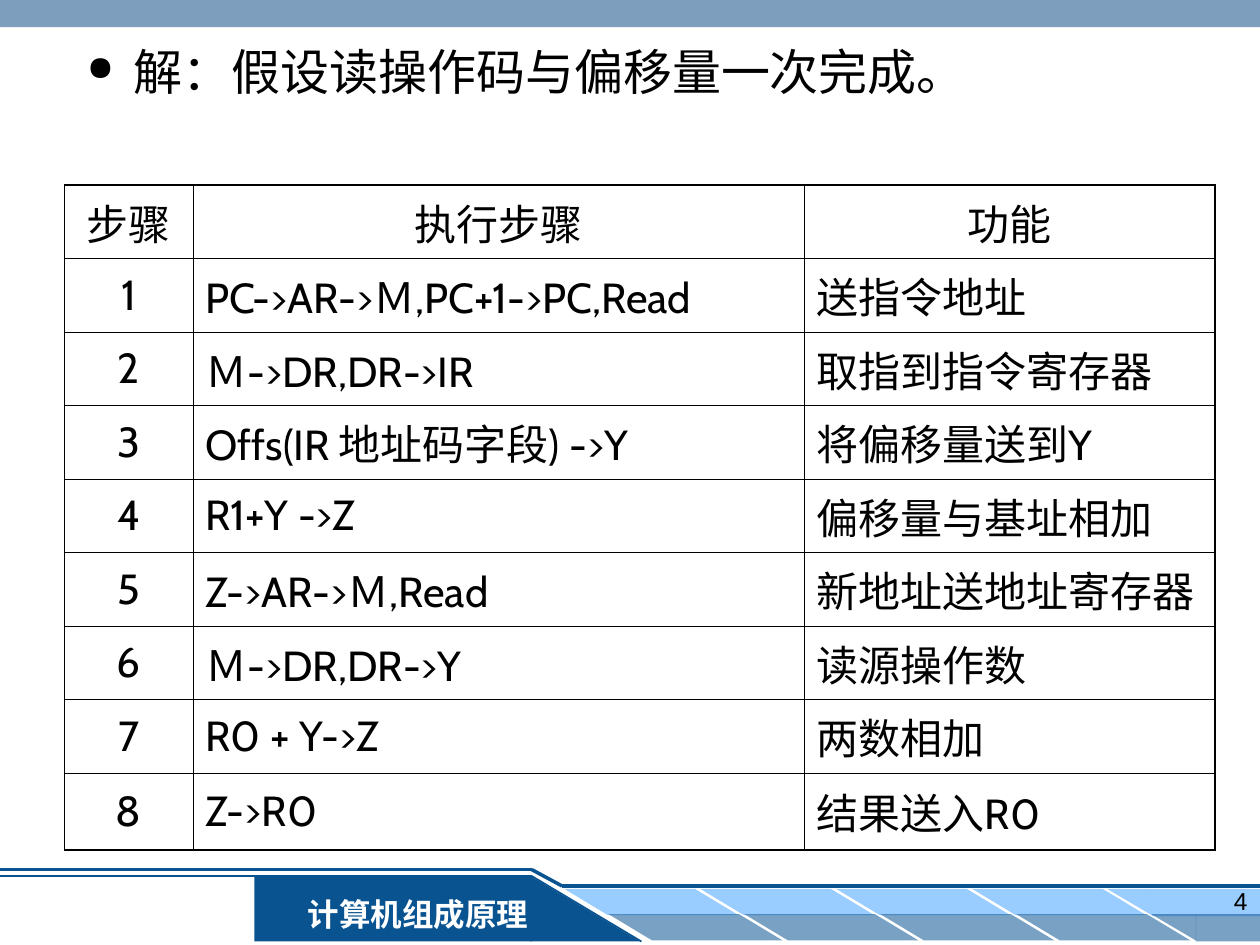
from dataclasses import dataclass

from lxml.etree import SubElement
from pptx import Presentation
from pptx.dml.color import RGBColor
from pptx.enum.shapes import MSO_CONNECTOR, MSO_SHAPE
from pptx.enum.text import MSO_ANCHOR, PP_ALIGN
from pptx.oxml.ns import qn
from pptx.util import Cm, Pt


@dataclass(frozen=True)
class Theme:
    """Colours, fonts and sizes of the slide."""
    navy: str = "095391"
    sky: str = "99CCFF"
    steel: str = "336699"
    ink: str = "000000"
    white: str = "FFFFFF"
    body_font: str = "Cabin"
    caption_font: str = "Times New Roman"
    number_font: str = "Arial"
    body: int = 28
    cell: int = 24
    caption: int = 18
    number: int = 14
    outer: float = 1.08
    inner: float = 0.45


T = Theme()

ROWS = [
    ("步骤", "执行步骤", "功能"),
    ("1", "PC->AR->Ｍ,PC+1->PC,Read", "送指令地址"),
    ("2", "Ｍ->DR,DR->IR", "取指到指令寄存器"),
    ("3", "Offs(IR 地址码字段) ->Y", "将偏移量送到Y"),
    ("4", "R1+Y ->Z", "偏移量与基址相加"),
    ("5", "Z->AR->Ｍ,Read", "新地址送地址寄存器"),
    ("6", "Ｍ->DR,DR->Y", "读源操作数"),
    ("7", "R0 + Y->Z", "两数相加"),
    ("8", "Z->R0", "结果送入R0"),
]


def write(tf, text, *, size, font=T.body_font, color=T.ink, bold=False,
          align=PP_ALIGN.LEFT, bullet=False):
    """Write one formatted paragraph into a text frame."""
    tf.word_wrap = True
    p = tf.paragraphs[0]
    p.alignment = align
    if bullet:
        pPr = p._p.get_or_add_pPr()
        pPr.set("marL", str(Cm(0.95)))
        pPr.set("indent", str(-Cm(0.95)))
        SubElement(pPr, qn("a:buSzPct"), val="70000")
        SubElement(pPr, qn("a:buChar"), char="●")
    r = p.add_run()
    r.text = text
    r.font.size = Pt(size)
    r.font.name = font
    r.font.bold = bold
    r.font.color.rgb = RGBColor.from_string(color)


def add_block(slide, kind, x, y, w, h, color, *, alpha=None, adj=None,
              flip=False, turn=0):
    """Add a borderless filled shape, measured in centimetres."""
    s = slide.shapes.add_shape(kind, Cm(x), Cm(y), Cm(w), Cm(h))
    s.shadow.inherit = False
    s.line.fill.background()
    s.fill.solid()
    s.fill.fore_color.rgb = RGBColor.from_string(color)
    s.rotation = turn
    if alpha is not None:
        clr = s._element.spPr.find(f".//{qn('a:srgbClr')}")
        SubElement(clr, qn("a:alpha"), val=str(alpha * 1000))
    if adj is not None:
        s.adjustments[0] = adj
    if flip:
        s._element.spPr.xfrm.set("flipH", "1")
    return s


def add_rule(slide, start, end, width):
    """Add a navy line between two points in centimetres."""
    s = slide.shapes.add_connector(MSO_CONNECTOR.STRAIGHT,
                                   *(Cm(v) for v in (*start, *end)))
    s.line.width = Pt(width)
    s.line.color.rgb = RGBColor.from_string(T.navy)
    SubElement(s._element.spPr, qn("a:effectLst"))


def add_text(slide, box, text, **fmt):
    """Add a text box."""
    s = slide.shapes.add_textbox(*(Cm(v) for v in box))
    write(s.text_frame, text, **fmt)


def add_header(slide, box):
    """Draw the band along the top edge."""
    add_block(slide, MSO_SHAPE.RECTANGLE, *box, T.steel, alpha=63)


def add_footer(slide, box, caption, number):
    """Draw the footer with its caption, slanted tiles and page number."""
    x, y, w, h = box
    right = x + w
    rect, tri = MSO_SHAPE.RECTANGLE, MSO_SHAPE.RIGHT_TRIANGLE
    add_block(slide, rect, x + 5.13, y + 0.13, 5.59, h - 0.13, T.navy)
    add_block(slide, tri, x + 10.69, y + 0.13, 2.21, h - 0.13, T.navy)

    tile_rows = ((0, 0.39, T.sky, None), (0.89, 0.9, T.navy, 54))
    for dx, dy, color, alpha in tile_rows:
        for i in range(4):
            add_block(slide, MSO_SHAPE.PARALLELOGRAM, x + 11.38 + dx + i * 2.74,
                      y + dy, 3.51, 0.53, color, alpha=alpha, adj=1.66, flip=True)
        edge = x + 23.22 + dx
        add_block(slide, rect, edge, y + dy, right - edge, 0.55, color, alpha=alpha)
        add_block(slide, tri, edge - 0.9, y + dy, 0.9, 0.53, color,
                  alpha=alpha, turn=180)

    bend, low = (x + 10.72, y), (x + 11.33, y + 0.33)
    inner_bend = (x + 10.72, y + 0.13)
    add_rule(slide, (x, y), bend, 2)
    add_rule(slide, bend, low, 2)
    add_rule(slide, low, (right, y + 0.33), 2)
    add_rule(slide, (x, y + 0.13), inner_bend, 1.5)
    add_rule(slide, inner_bend, (x + 12.93, y + h), 1)

    s = add_block(slide, rect, x + 5.82, y + 0.38, 5.21, 1.02, T.navy)
    s.text_frame.vertical_anchor = MSO_ANCHOR.MIDDLE
    write(s.text_frame, caption, size=T.caption, font=T.caption_font,
          color=T.white, bold=True, align=PP_ALIGN.CENTER)
    add_text(slide, (right - 5.8, y + 0.2, 5.8, 1.25), number, size=T.number,
             font=T.number_font, align=PP_ALIGN.RIGHT)


def set_borders(cell, widths):
    """Draw cell borders, keyed by side, in points."""
    tcPr = cell._tc.get_or_add_tcPr()
    for side, width in widths.items():
        ln = SubElement(tcPr, qn(f"a:ln{side}"), w=str(Pt(width)))
        fill = SubElement(ln, qn("a:solidFill"))
        SubElement(fill, qn("a:srgbClr"), val=T.ink)


def add_steps_table(slide, box, rows, shares=(2.59, 12.32, 8.28)):
    """Add the table of execution steps, its columns split by shares."""
    x, y, w, h = box
    last_row, last_col = len(rows) - 1, len(shares) - 1
    table = slide.shapes.add_table(len(rows), len(shares),
                                   Cm(x), Cm(y), Cm(w), Cm(h)).table
    table.first_row = table.horz_banding = False
    for col, share in zip(table.columns, shares):
        col.width = Cm(w * share / sum(shares))
    for i, row in enumerate(rows):
        table.rows[i].height = Cm(1.55 if i == last_row else (h - 1.55) / last_row)
        for j, text in enumerate(row):
            cell = table.cell(i, j)
            outside = {"L": j == 0, "R": j == last_col,
                       "T": i == 0, "B": i == last_row}
            set_borders(cell, {side: T.outer if out else T.inner
                               for side, out in outside.items()})
            cell.fill.background()
            cell.vertical_anchor = MSO_ANCHOR.MIDDLE
            centred = i == 0 or j == 0
            write(cell.text_frame, text, size=T.cell,
                  align=PP_ALIGN.CENTER if centred else PP_ALIGN.LEFT)


def main():
    """Build and save the slide."""
    prs = Presentation()
    prs.slide_width, prs.slide_height = Cm(25.4), Cm(19.05)
    slide = prs.slides.add_slide(prs.slide_layouts[6])
    add_footer(slide, (0, 17.53, 25.4, 1.45), "计算机组成原理", "4")
    add_header(slide, (0, 0, 25.4, 0.55))
    add_text(slide, (1.5, 0.71, 22.81, 2.79),
             "解：假设读操作码与偏移量一次完成。", size=T.body, bullet=True)
    add_steps_table(slide, (1.3, 3.73, 23.19, 13.41), ROWS)
    prs.save("out.pptx")


if __name__ == "__main__":
    main()
